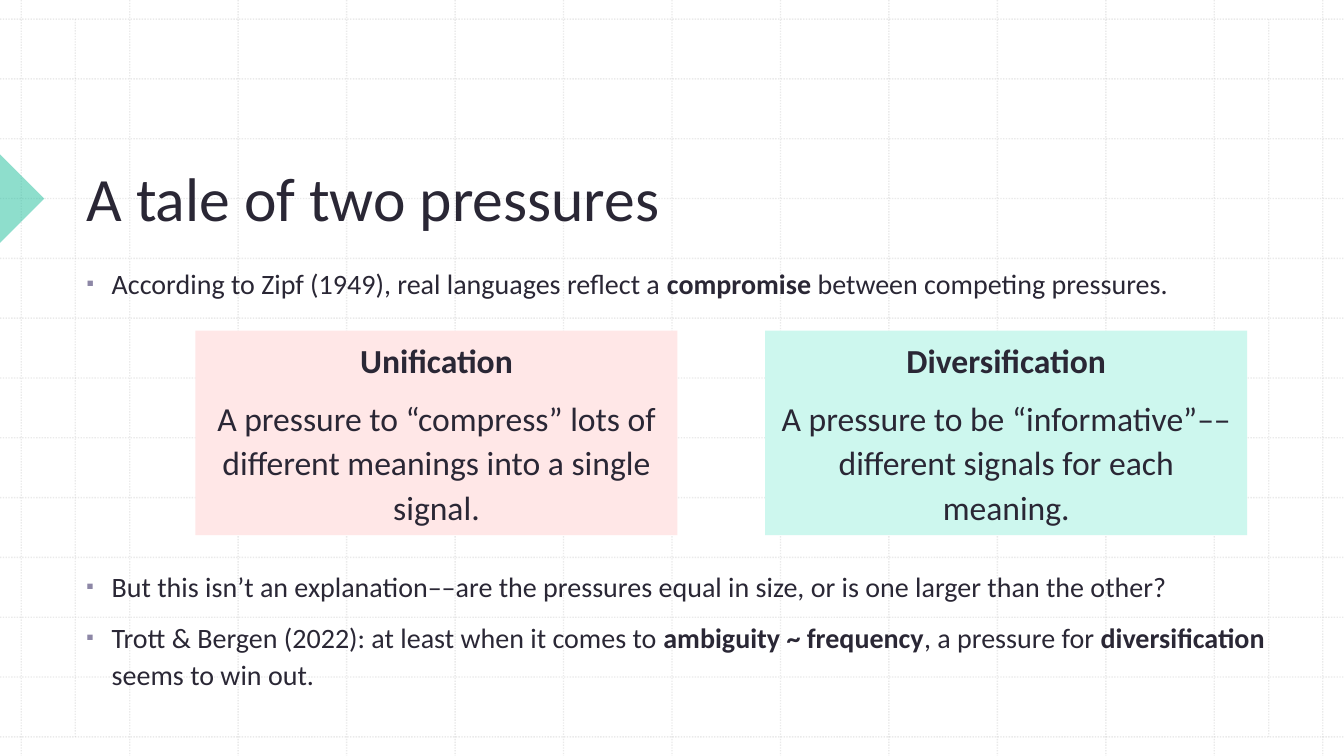
import pptx
import pptx.util
import pptx.dml.color
import pptx.enum.dml
import pptx.enum.shapes
import pptx.enum.text
import pptx.oxml
import pptx.oxml.ns

HUES = {"ink": "2A2735", "grid": "BCBCBC", "mark": "8D87A6",
        "mint": "1EBE9B", "pink": "FFE7E7", "aqua": "CDF7EE"}
RGB = pptx.dml.color.RGBColor.from_string
NS = pptx.oxml.ns.nsdecls("a")
KIND = pptx.enum.shapes.MSO_SHAPE
SIDE = pptx.enum.text.PP_ALIGN

deck = pptx.Presentation()
deck.slide_width = pptx.util.Inches(13.33)
deck.slide_height = pptx.util.Inches(7.5)
slide = deck.slides.add_slide(deck.slide_layouts[6])
shapes = slide.shapes

# One unit is a hundredth of the slide's width or height
wide = deck.slide_width / 100
high = deck.slide_height / 100


def rule(x1, y1, x2, y2):
    """Draw one faint dotted grid line."""
    line = shapes.add_connector(
        pptx.enum.shapes.MSO_CONNECTOR.STRAIGHT,
        int(x1 * wide), int(y1 * high), int(x2 * wide), int(y2 * high))
    line.line.color.rgb = RGB(HUES["grid"])
    line.line.width = pptx.util.Pt(1)
    line.line.dash_style = pptx.enum.dml.MSO_LINE.ROUND_DOT
    tint = line.line._ln.find(".//" + pptx.oxml.ns.qn("a:srgbClr"))
    tint.append(pptx.oxml.parse_xml(f'<a:alpha {NS} val="30000"/>'))
    line._element.spPr.append(pptx.oxml.parse_xml(f"<a:effectLst {NS}/>"))


def write(frame, paras, size, side=SIDE.LEFT, dots=False, lead=1.1):
    """Fill a frame; each paragraph is a list of runs, every second one bold."""
    frame.word_wrap = True
    for num, runs in enumerate(paras):
        para = frame.add_paragraph() if num else frame.paragraphs[0]
        if dots:
            props = para._p.get_or_add_pPr()
            props.set("marL", str(pptx.util.Inches(0.25)))
            props.set("indent", str(pptx.util.Inches(-0.25)))
            for part in (f'<a:buClr {NS}><a:srgbClr val="{HUES["mark"]}"/></a:buClr>',
                         f'<a:buSzPct {NS} val="75000"/>',
                         f'<a:buFont {NS} typeface="Calibri"/>',
                         f'<a:buChar {NS} char="▪"/>'):
                props.append(pptx.oxml.parse_xml(part))
        para.alignment = side
        para.line_spacing = lead
        para.space_before = pptx.util.Pt(10 if num else 0)
        for spot, text in enumerate(runs):
            if text:
                run = para.add_run()
                run.text = text
                run.font.name = "Calibri"
                run.font.size = pptx.util.Pt(size)
                run.font.bold = spot % 2 == 1
                run.font.color.rgb = RGB(HUES["ink"])


# Background grid: twelve equal steps each way, plus two inner margins
edge, top = 1.58, 2.53
for step in range(13):
    x = edge + step * (100 - 2 * edge) / 12
    y = top + step * (100 - 2 * top) / 12
    rule(x, 0, x, 100)
    rule(0, y, 100, y)
for x in (5.6, 94.4):
    rule(x, top, x, 100 - top)

# Pointer at the left edge
size = 8.27 * high
tip = shapes.add_shape(KIND.RIGHT_TRIANGLE, int(-size / 2),
                       int(26.27 * high - size / 2), int(size), int(size))
tip.rotation = 225
tip.shadow.inherit = False
tip.line.fill.background()
tip.fill.solid()
tip.fill.fore_color.rgb = RGB(HUES["mint"])
tint = tip._element.spPr.find(".//" + pptx.oxml.ns.qn("a:srgbClr"))
tint.append(pptx.oxml.parse_xml(f'<a:alpha {NS} val="50000"/>'))

# Title
left = int(5.7 * wide)
head = shapes.add_textbox(left, int(10.53 * high), int(84.7 * wide), int(21.07 * high))
head.text_frame.vertical_anchor = pptx.enum.text.MSO_ANCHOR.BOTTOM
write(head.text_frame, [["A tale of two pressures"]], 44, lead=1.0)

# Opening claim
claim = shapes.add_textbox(left, int(34.13 * high), int(93.8 * wide), int(12.13 * high))
write(claim.text_frame, [["According to Zipf (1949), real languages reflect a ",
                          "compromise", " between competing pressures."]],
      20, dots=True)

# The two pressures, side by side
pairs = [
    ("pink", "Unification",
     "A pressure to “compress” lots of different meanings into a single signal."),
    ("aqua", "Diversification",
     "A pressure to be “informative”––different signals for each meaning."),
]
for num, (hue, name, text) in enumerate(pairs):
    card = shapes.add_shape(KIND.RECTANGLE, int((14.55 + num * 42.39) * wide),
                            int(43.73 * high), int(35.86 * wide), int(27.07 * high))
    card.shadow.inherit = False
    card.line.fill.background()
    card.fill.solid()
    card.fill.fore_color.rgb = RGB(HUES[hue])
    card.text_frame.vertical_anchor = pptx.enum.text.MSO_ANCHOR.TOP
    write(card.text_frame, [["", name], [text]], 24, side=SIDE.CENTER)

# Closing points
close = shapes.add_textbox(left, int(74.27 * high), int(91.37 * wide), int(24 * high))
write(close.text_frame, [
    ["But this isn’t an explanation––are the pressures equal in size, "
     "or is one larger than the other?"],
    ["Trott & Bergen (2022): at least when it comes to ", "ambiguity ~ frequency",
     ", a pressure for ", "diversification", " seems to win out."],
], 20, dots=True)

deck.save("out.pptx")
